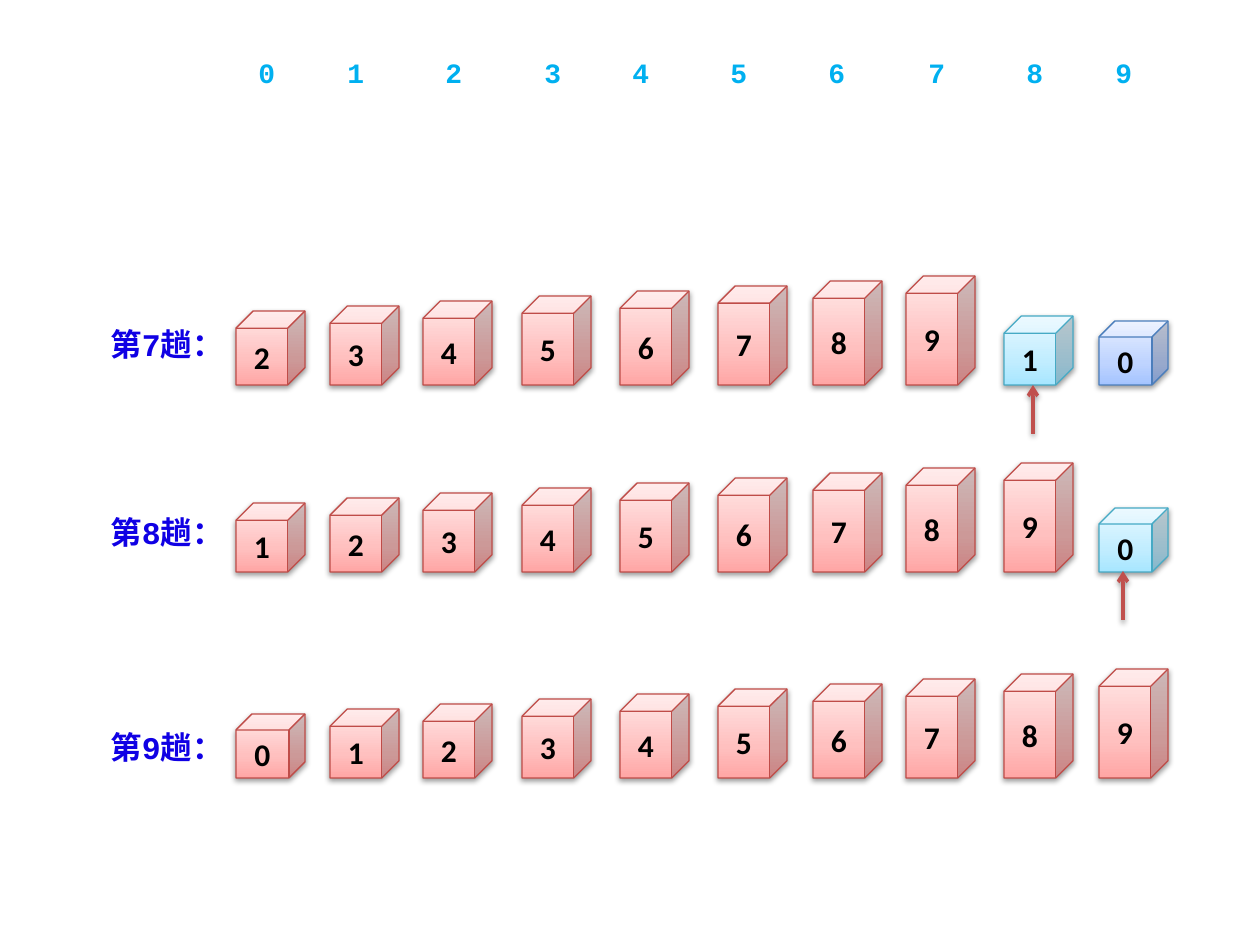
import copy

import pptx
import pptx.util
from lxml import etree
from pptx.dml.color import RGBColor
from pptx.enum.shapes import MSO_CONNECTOR, MSO_SHAPE
from pptx.enum.text import MSO_ANCHOR, MSO_AUTO_SIZE, PP_ALIGN
from pptx.oxml import parse_xml
from pptx.oxml.ns import qn

EMU_PER_PX = 914400 / 126

# Column positions, shared by all rows
INDEX_LEFTS = [246, 335, 433, 532, 620, 718, 816, 916, 1014, 1103]
CUBE_LEFTS = [236, 330, 423, 522, 620, 718, 813, 906, 1004, 1099]
CUBE_WIDTH = 69
SMALLEST_CUBE = 64
HEIGHT_STEP = 5

# Gradient stops from bottom to top, then the outline
RED = (["FFA6A5", "FFC0BF", "FFE7E7"], "BF4C48")
CYAN = (["A7E6FF", "C1EDFF", "E7F8FF"], "46AAC5")
BLUE = (["A4C4FF", "BFD4FF", "E6EEFF"], "4B7EBC")
STOP_POSITIONS = [0, 0.35, 1]

# Label, label top, cube bottom, values, styles of the values that are not red
PASSES = [
    ("第7趟：", 319, 385, [2, 3, 4, 5, 6, 7, 8, 9, 1, 0], {1: CYAN, 0: BLUE}),
    ("第8趟：", 507, 572, [1, 2, 3, 4, 5, 6, 7, 8, 9, 0], {0: CYAN}),
    ("第9趟：", 722, 778, [0, 1, 2, 3, 4, 5, 6, 7, 8, 9], {}),
]

# Arrow x and tip y
ARROWS = [(1033, 385), (1123, 571)]
ARROW_LENGTH = 49

SHADOW_XML = (
    '<a:effectLst xmlns:a="http://schemas.openxmlformats.org/drawingml/2006/main">'
    '<a:outerShdw blurRad="40000" dist="20000" dir="5400000" rotWithShape="0">'
    '<a:srgbClr val="000000"><a:alpha val="38000"/></a:srgbClr>'
    "</a:outerShdw></a:effectLst>"
)


def px(*lengths):
    return [pptx.util.Emu(round(length * EMU_PER_PX)) for length in lengths]


def color(hex_value):
    return RGBColor.from_string(hex_value)


def add_shadow(shape):
    shape._element.spPr.append(parse_xml(SHADOW_XML))


def format_text(paragraph, text, font_name, size, hex_value):
    paragraph.text = text
    font = paragraph.font
    font.name = font_name
    font.size = pptx.util.Pt(size)
    font.bold = True
    font.color.rgb = color(hex_value)


def add_label(shapes, text, left, top, width, height, size, hex_value):
    text_box = shapes.add_textbox(*px(left, top, width, height))
    frame = text_box.text_frame
    frame.word_wrap = True
    frame.auto_size = MSO_AUTO_SIZE.SHAPE_TO_FIT_TEXT
    format_text(frame.paragraphs[0], text, "Courier New", size, hex_value)


def fill_gradient(shape, stop_colors):
    fill = shape.fill
    fill.gradient()
    fill.gradient_angle = 90
    # The default gradient has two stops; add a third
    stop_list = shape._element.spPr.find(".//" + qn("a:gsLst"))
    stop_list.append(copy.deepcopy(stop_list[0]))
    for stop, position, hex_value in zip(fill.gradient_stops, STOP_POSITIONS, stop_colors):
        stop.position = position
        stop.color.rgb = color(hex_value)


def add_cube(shapes, value, left, bottom, style):
    stop_colors, outline = style
    height = SMALLEST_CUBE + HEIGHT_STEP * value
    cube = shapes.add_shape(MSO_SHAPE.CUBE, *px(left, bottom - height, CUBE_WIDTH, height))
    fill_gradient(cube, stop_colors)
    cube.line.color.rgb = color(outline)
    cube.line.width = pptx.util.Pt(0.75)
    add_shadow(cube)
    frame = cube.text_frame
    frame.vertical_anchor = MSO_ANCHOR.MIDDLE
    paragraph = frame.paragraphs[0]
    paragraph.alignment = PP_ALIGN.CENTER
    format_text(paragraph, str(value), "Calibri", 18, "000000")


def add_pass(slide, label, label_top, bottom, values, special_styles):
    shapes = slide.shapes.add_group_shape().shapes
    add_label(shapes, label, 98, label_top, 118, 50, 18, "1000E4")
    for left, value in zip(CUBE_LEFTS, values):
        add_cube(shapes, value, left, bottom, special_styles.get(value, RED))


def add_arrow(slide, x, tip):
    arrow = slide.shapes.add_connector(
        MSO_CONNECTOR.STRAIGHT, *px(x, tip + ARROW_LENGTH, x, tip)
    )
    arrow.line.color.rgb = color("C0504D")
    arrow.line.width = pptx.util.Pt(2)
    line = arrow._element.spPr.find(qn("a:ln"))
    etree.SubElement(line, qn("a:tailEnd"), type="arrow")
    add_shadow(arrow)


def main():
    presentation = pptx.Presentation()
    presentation.slide_width, presentation.slide_height = px(1260, 945)
    slide = presentation.slides.add_slide(presentation.slide_layouts[6])

    # Array indexes
    for index, left in enumerate(INDEX_LEFTS):
        add_label(slide.shapes, str(index), left, 49, 49, 46, 16, "00B0F0")

    # Sorting passes
    for sorting_pass in PASSES:
        add_pass(slide, *sorting_pass)

    # Pointers to the current item
    for x, tip in ARROWS:
        add_arrow(slide, x, tip)

    presentation.save("out.pptx")


if __name__ == "__main__":
    main()
